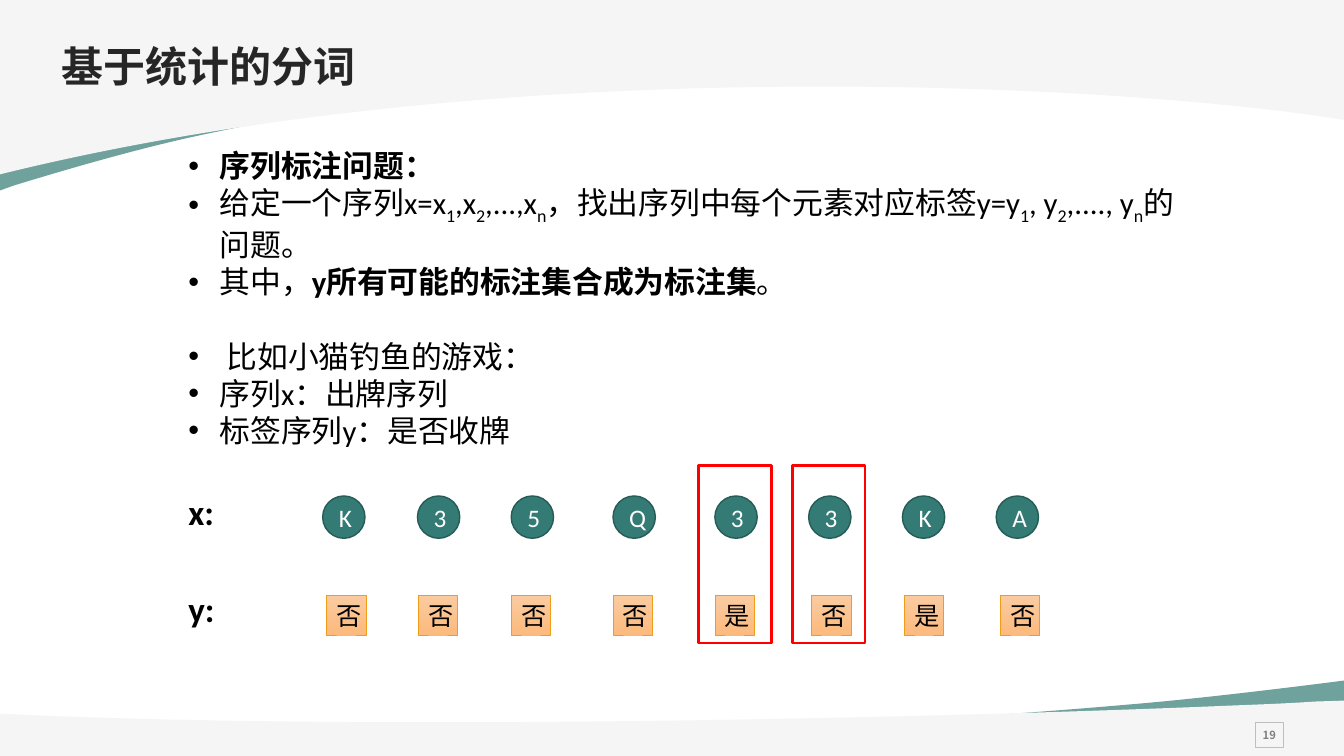
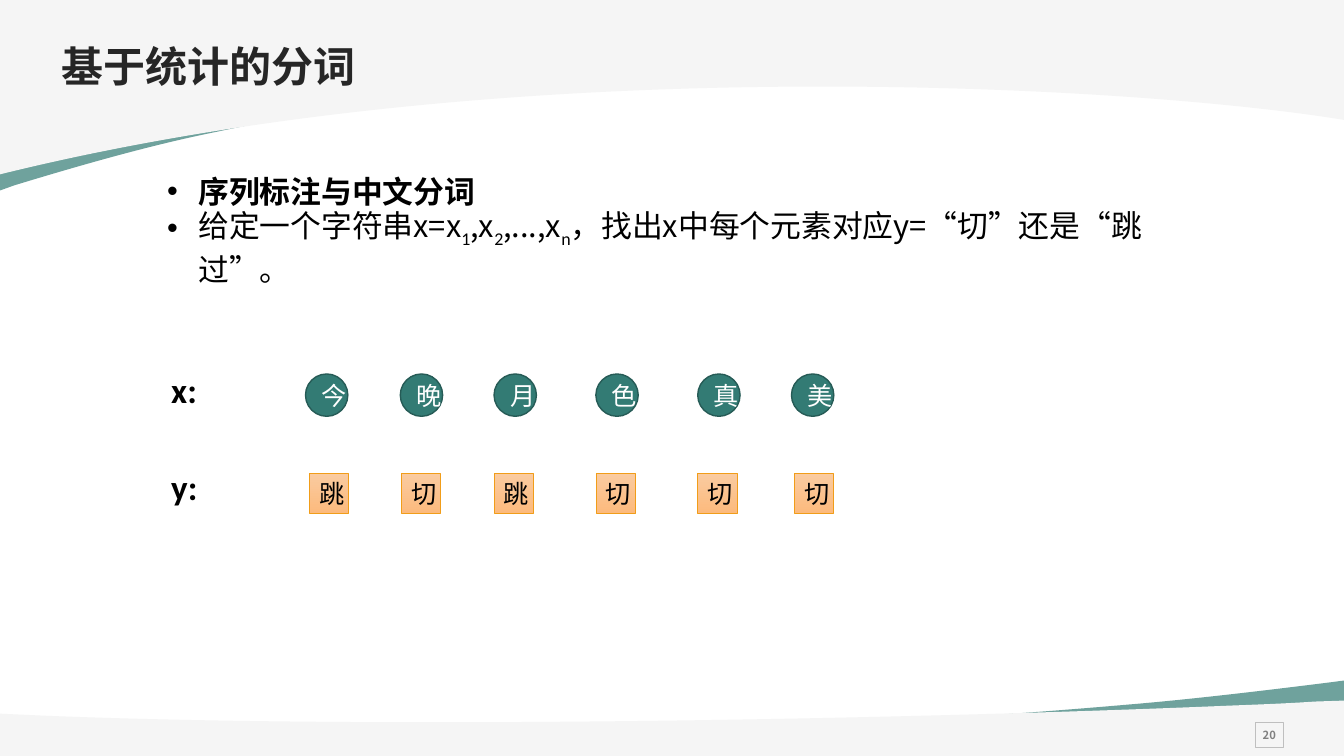
from pptx import Presentation
from pptx.dml.color import RGBColor
from pptx.enum.shapes import MSO_SHAPE
from pptx.enum.text import MSO_ANCHOR, PP_ALIGN
from pptx.oxml.ns import qn
from pptx.util import Inches, Pt
from lxml.etree import SubElement

TEAL, EDGE, PALE = "337B74", "265B56", "F5F5F5"
BLACK, WHITE, INK, RED = "000000", "FFFFFF", "262626", "FF0000"
SANS, BODY = "Noto Sans CJK SC", "Calibri"

# Offsets of the cards and of the tags from the first card
CARDS = [0, 0.94, 1.87, 2.88, 3.89, 4.82, 5.75, 6.68]
TAGS = [0.04, 0.95, 1.87, 2.88, 3.89, 4.85, 5.77, 6.72]

# Bands: colour, opacity, outline; two numbers draw a line, six a curve
BANDS = [
    (TEAL, 70, [(0, 1.89), (0, 0.22), (13.34, 0.22), (13.34, 0.91),
                (13.33, 0.91), (10.32, 0.06, 5.14, 0.67, 2.14, 1.31),
                (1.54, 1.43, 0.86, 1.62, 0.14, 1.84)]),
    (PALE, 100, [(0, 0), (13.33, 0), (13.33, 1.19),
                 (11.4, 0.87, 5.17, 0.45, 0, 1.73)]),
    (TEAL, 70, [(13.34, 6.75), (13.34, 7.44), (0, 7.44), (0, 7.15),
                (0.01, 7.16), (3.01, 7.5, 8.2, 7.25, 11.19, 6.99),
                (11.79, 6.94, 12.47, 6.86, 13.19, 6.77)]),
    (PALE, 100, [(13.34, 6.95), (13.34, 7.17), (13.34, 7.19), (13.34, 7.5),
                 (0, 7.5), (0, 7.19), (0, 7.17), (0, 7.08), (0.44, 7.1),
                 (3.92, 7.24, 9.1, 7.13, 12.2, 7),
                 (12.46, 6.99, 12.75, 6.98, 13.04, 6.96)]),
]


def rgb(code):
    return RGBColor.from_string(code)


def box(left, top, width, height):
    return [Inches(v) for v in (left, top, width, height)]


def add_run(para, text, size, color, font=BODY, bold=False, sub=False):
    run = para.add_run()
    run.text = text
    run.font.size, run.font.bold, run.font.name = Pt(size), bold, font
    run.font.color.rgb = rgb(color)
    props = run.font._element
    SubElement(props, qn("a:ea")).set("typeface", font)
    if sub:
        props.set("baseline", "-25000")


def add_shape(slide, kind, place, line, weight, fill=None):
    shape = slide.shapes.add_shape(kind, *box(*place))
    shape.shadow.inherit = False
    if fill:
        shape.fill.solid()
        shape.fill.fore_color.rgb = rgb(fill)
    else:
        shape.fill.background()
    shape.line.color.rgb = rgb(line)
    shape.line.width = Pt(weight)
    return shape


def label(shape, text, size, color, **style):
    """Centre one run of text in a shape."""
    shape.text_frame.vertical_anchor = MSO_ANCHOR.MIDDLE
    para = shape.text_frame.paragraphs[0]
    para.alignment = PP_ALIGN.CENTER
    add_run(para, text, size, color, **style)


def add_outline(slide, parts):
    """Build a closed freeform, then bend its curved parts."""
    ends = [(Inches(p[-2]), Inches(p[-1])) for p in parts]
    pen = slide.shapes.build_freeform(*ends[0], scale=1.0)
    pen.add_line_segments(ends[1:], close=True)
    shape = pen.convert_to_shape()
    trail = shape._element.find(".//" + qn("a:path"))
    for step, part in zip(list(trail), parts):
        if len(part) == 6:
            curve = SubElement(trail, qn("a:cubicBezTo"))
            for x, y in zip(part[::2], part[1::2]):
                point = SubElement(curve, qn("a:pt"))
                point.set("x", str(Inches(x) - shape.left))
                point.set("y", str(Inches(y) - shape.top))
            trail.replace(step, curve)
    return shape


def add_bands(slide):
    """Draw the curved bands and move them to the layout of the slide."""
    tree = slide.slide_layout.shapes._spTree
    for spot, (color, alpha, parts) in enumerate(BANDS, 2):
        band = add_outline(slide, parts)
        band.shadow.inherit = False
        band.fill.solid()
        band.fill.fore_color.rgb = rgb(color)
        band.line.fill.background()
        if alpha < 100:
            tint = band._element.spPr.find(".//" + qn("a:srgbClr"))
            SubElement(tint, qn("a:alpha")).set("val", str(alpha * 1000))
        tree.insert(spot, band._element)


def add_title(slide, text):
    title = slide.shapes.title
    title.left, title.top, title.width, title.height = box(0.53, 0.39, 12, 0.58)
    frame = title.text_frame
    frame.word_wrap = False
    frame.vertical_anchor = MSO_ANCHOR.MIDDLE
    frame.margin_left = frame.margin_top = frame.margin_bottom = Inches(0.08)
    frame.margin_right = 0
    para = frame.paragraphs[0]
    para.alignment = PP_ALIGN.LEFT
    para.line_spacing = 0.9
    add_run(para, text, 30, INK, SANS, bold=True)


def add_page(slide, number):
    shape = add_shape(slide, MSO_SHAPE.RECTANGLE, (12.45, 7.17, 0.28, 0.25),
                      "BFBFBF", 0.75)
    frame = shape.text_frame
    frame.word_wrap = False
    frame.margin_left = frame.margin_right = Inches(0.08)
    frame.margin_top = frame.margin_bottom = Inches(0.08)
    label(shape, str(number), 8, "808080", font=SANS, bold=True)


def add_text(slide, place):
    frame = slide.shapes.add_textbox(*box(*place)).text_frame
    frame.word_wrap = True
    return frame


def add_list(slide, place, items, font=BODY, pitch=None):
    """Add bullets; an item is (indent, points before, runs)."""
    frame = add_text(slide, place)
    for i, (indent, gap, runs) in enumerate(items):
        para = frame.add_paragraph() if i else frame.paragraphs[0]
        para.space_before = Pt(gap)
        if pitch:
            para.line_spacing = Pt(pitch)
        props = para._p.get_or_add_pPr()
        props.set("marL", str(Inches(indent)))
        props.set("indent", str(-Inches(indent)))
        SubElement(props, qn("a:buFont")).set("typeface", "Arial")
        SubElement(props, qn("a:buChar")).set("char", "•")
        for text, mark in runs:
            add_run(para, text, 22, BLACK, BODY if mark == "sub" else font,
                    bold=mark == "bold", sub=mark == "sub")


def add_chain(slide, left, top, cards, tags, framed=()):
    """Add the row of cards x over the row of tags y; frame some pairs."""
    start = left + 1.43
    for name, drop in (("x:", 0), ("y:", 0.96)):
        frame = add_text(slide, (left, top + drop, 0.92, 0.52))
        add_run(frame.paragraphs[0], name, 25, BLACK, bold=True)
    for text, step in zip(cards, CARDS):
        card = add_shape(slide, MSO_SHAPE.OVAL,
                         (start + step, top + 0.1, 0.42, 0.42), EDGE, 1, TEAL)
        label(card, text, 18, WHITE)
    for text, step in zip(tags, TAGS):
        tag = add_shape(slide, MSO_SHAPE.RECTANGLE,
                        (start + step, top + 1.09, 0.39, 0.39), "F19D19", 0.5)
        tag.fill.gradient()
        tag.fill.gradient_angle = 270
        for stop, color in zip(tag.fill.gradient_stops, ("FACBA0", "FCBA7D")):
            stop.color.rgb = rgb(color)
        label(tag, text, 18, BLACK)
    for i in framed:
        add_shape(slide, MSO_SHAPE.RECTANGLE,
                  (start + CARDS[i] - 0.16, top - 0.2, 0.72, 1.76), RED, 2)


def add_slide(deck, number):
    slide = deck.slides.add_slide(deck.slide_layouts[5])
    add_title(slide, "基于统计的分词")
    add_page(slide, number)
    return slide


def vector(lead, name, dots, comma=","):
    """Give the runs of a sequence with indices 1, 2 to n."""
    return [(lead + name, ""), ("1", "sub"), (comma + name, ""), ("2", "sub"),
            (dots + name, ""), ("n", "sub")]


def add_game(deck):
    slide = add_slide(deck, 19)
    add_list(slide, (1.77, 1.41, 10.22, 3.06), [
        (0.31, 0, [("序列标注问题：", "bold")]),
        (0.31, 0, vector("给定一个序列x=", "x", ",...,")
         + vector("，找出序列中每个元素对应标签y=", "y", ",...., ", ", ")
         + [("的问题。", "")]),
        (0.31, 0, [("其中，", ""), ("y所有可能的标注集合成为标注集", "bold"),
                   ("。", "")]),
        (0.38, 27, [("比如小猫钓鱼的游戏：", "")]),
        (0.31, 0, [("序列x：出牌序列", "")]),
        (0.31, 0, [("标签序列y：是否收牌", "")]),
    ])
    add_chain(slide, 1.77, 4.82, "K35Q33KA", "否否否否是否是否", framed=(4, 5))
    return slide


def add_words(deck):
    slide = add_slide(deck, 20)
    add_list(slide, (1.56, 1.64, 10.22, 1.95), [
        (0.31, 0, [("序列标注与中文分词", "bold")]),
        (0.31, 0, vector("给定一个字符串x=", "x", ",...,")
         + [("，找出x中每个元素对应y=“切”还是“跳过”。", "")]),
    ], SANS, pitch=28)
    add_chain(slide, 1.6, 3.61, "今晚月色真美", "跳切跳切切切")


def main():
    deck = Presentation()
    deck.slide_width, deck.slide_height = Inches(13.33), Inches(7.5)
    add_bands(add_game(deck))
    add_words(deck)
    deck.save("out.pptx")


if __name__ == "__main__":
    main()
